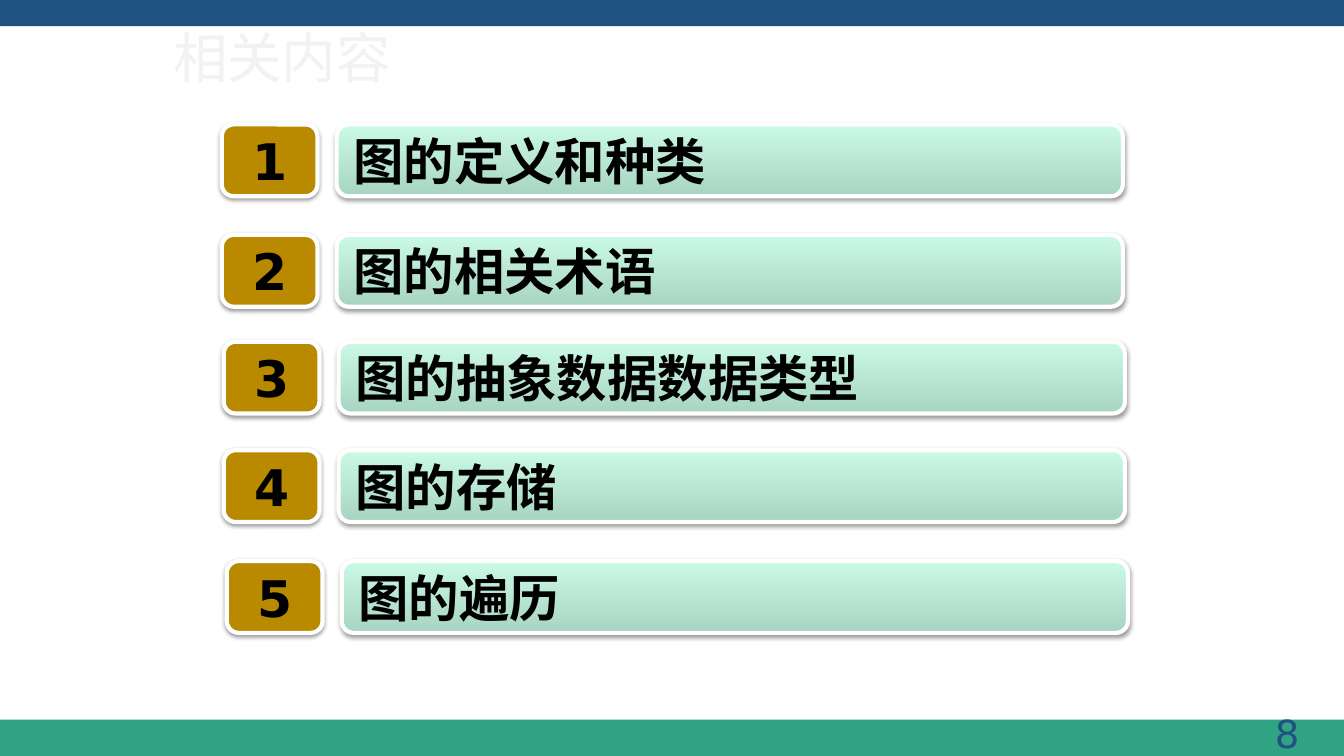
from lxml import etree
from pptx import Presentation
from pptx.dml.color import RGBColor
from pptx.enum import shapes, text
from pptx.oxml import ns
from pptx.util import Pt

BLUE = RGBColor(0x1F, 0x52, 0x81)
GREEN = RGBColor(0x30, 0xA3, 0x83)
GOLD = RGBColor(0xB9, 0x8A, 0x00)
MINT_DARK = RGBColor(0xA8, 0xD4, 0xC2)
MINT_LIGHT = RGBColor(0xCA, 0xFA, 0xE5)
PALE_GREY = RGBColor(0xF2, 0xF2, 0xF2)
WHITE = RGBColor(0xFF, 0xFF, 0xFF)
BLACK = RGBColor(0, 0, 0)

WIDTH, HEIGHT = 960, 540
BADGE_WIDTH, TOPIC_OFFSET, TOPIC_WIDTH, ROW_HEIGHT = 68.4, 82.1, 561.6, 51.3

# Left, top and wording of each row
TOPICS = [
    (158.4, 88.9, "图的定义和种类"),
    (158.4, 167.8, "图的相关术语"),
    (159.8, 244.1, "图的抽象数据数据类型"),
    (159.8, 321.6, "图的存储"),
    (162, 400.8, "图的遍历"),
]


def write(shape, wording, size, font, color, align, bold=False):
    """Put one centred-in-height paragraph into a shape."""
    frame = shape.text_frame
    frame.text = wording
    frame.word_wrap = True
    frame.vertical_anchor = text.MSO_ANCHOR.MIDDLE
    line = frame.paragraphs[0]
    line.alignment = align
    for run in line.runs:
        run.font.size = Pt(size)
        run.font.name = font
        run.font.bold = bold
        run.font.color.rgb = color


def add_shadow(shape):
    effects = shape._element.spPr.find(ns.qn("a:effectLst"))
    shadow = etree.SubElement(
        effects, ns.qn("a:outerShdw"), blurRad=str(Pt(3.1)),
        dist=str(Pt(1.6)), dir="5400000", rotWithShape="0")
    color = etree.SubElement(shadow, ns.qn("a:srgbClr"), val=str(BLACK))
    etree.SubElement(color, ns.qn("a:alpha"), val="38000")


def add_band(slide, top, height, color):
    band = slide.shapes.add_shape(
        shapes.MSO_SHAPE.RECTANGLE, 0, Pt(top), Pt(WIDTH), Pt(height))
    band.shadow.inherit = False
    band.fill.solid()
    band.fill.fore_color.rgb = color
    band.line.fill.background()


def add_label(slide, left, top, width, height, *style):
    label = slide.shapes.add_textbox(Pt(left), Pt(top), Pt(width), Pt(height))
    write(label, *style)


def add_panel(slide, left, top, width, wording, align):
    """Add a rounded, white-edged panel and return it for filling."""
    panel = slide.shapes.add_shape(
        shapes.MSO_SHAPE.ROUNDED_RECTANGLE,
        Pt(left), Pt(top), Pt(width), Pt(ROW_HEIGHT))
    panel.shadow.inherit = False
    panel.line.color.rgb = WHITE
    panel.line.width = Pt(3)
    frame = panel.text_frame
    frame.margin_left = frame.margin_right = Pt(9.4)
    frame.margin_top = frame.margin_bottom = Pt(4.3)
    write(panel, wording, 36, "DejaVu Sans", BLACK, align, bold=True)
    add_shadow(panel)
    return panel


def add_topic(slide, left, top, number, wording):
    badge = add_panel(slide, left, top, BADGE_WIDTH, str(number),
                      text.PP_ALIGN.CENTER)
    badge.fill.solid()
    badge.fill.fore_color.rgb = GOLD

    topic = add_panel(slide, left + TOPIC_OFFSET, top, TOPIC_WIDTH, wording,
                      text.PP_ALIGN.JUSTIFY)
    topic.fill.gradient()
    topic.fill.gradient_angle = 90
    for stop, color in zip(topic.fill.gradient_stops, (MINT_DARK, MINT_LIGHT)):
        stop.color.rgb = color


def add_frame(slide):
    """Add the bands, the page number and the title."""
    add_band(slide, HEIGHT - 25.9, 25.9, GREEN)
    add_band(slide, 0, 18.7, BLUE)
    add_label(slide, 723.6, 503.3, 211.7, 41, "8", 27.6, "DejaVu Sans", BLUE,
              text.PP_ALIGN.RIGHT)
    add_label(slide, 116.6, 15.1, 805.7, 51.1, "相关内容", 38.9, "Calibri",
              PALE_GREY, text.PP_ALIGN.LEFT)


def main():
    deck = Presentation()
    deck.slide_width, deck.slide_height = Pt(WIDTH), Pt(HEIGHT)
    slide = deck.slides.add_slide(deck.slide_layouts[6])
    add_frame(slide)
    for number, (left, top, wording) in enumerate(TOPICS, start=1):
        add_topic(slide, left, top, number, wording)
    deck.save("out.pptx")


if __name__ == "__main__":
    main()
